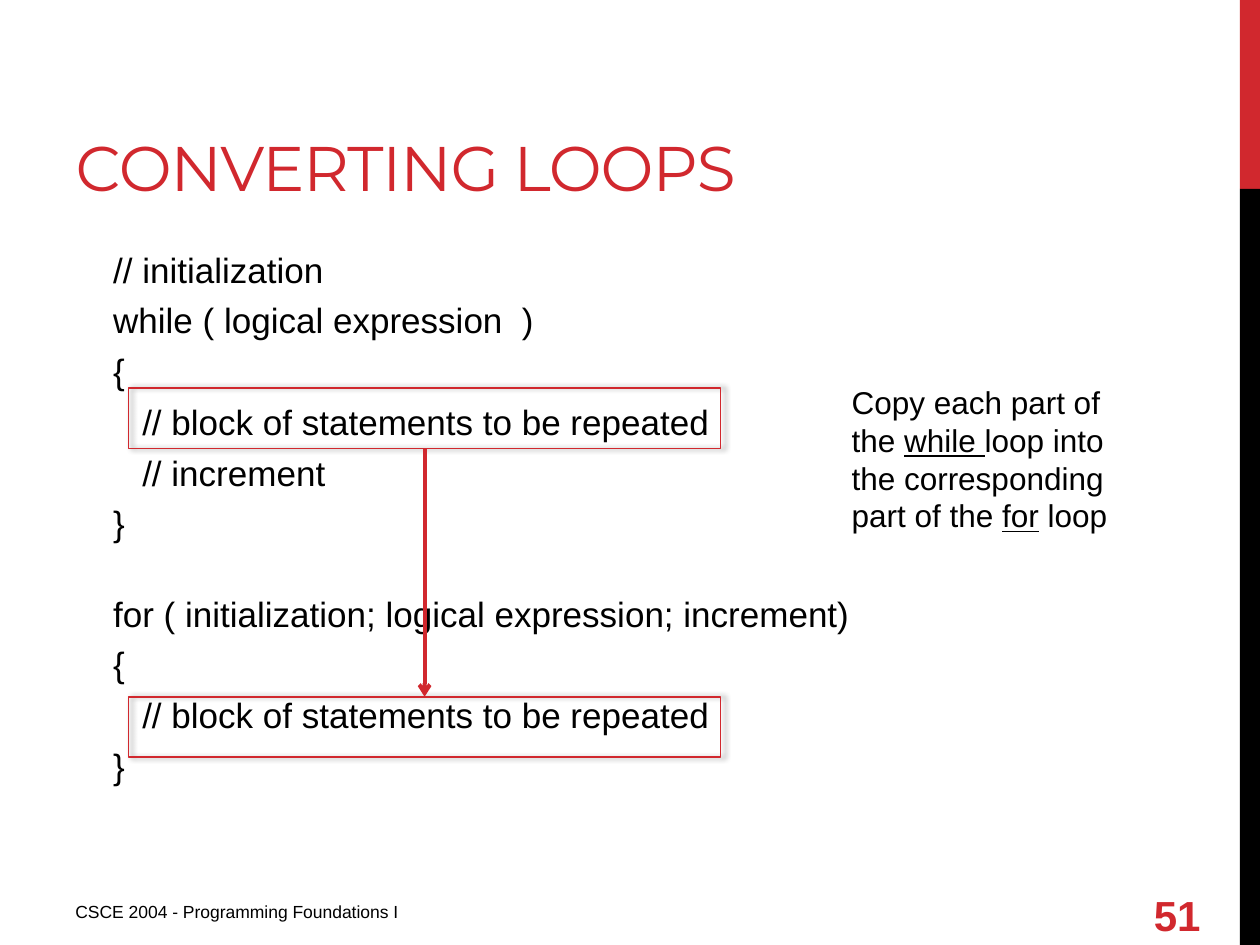
from dataclasses import dataclass

from lxml import etree
from pptx import Presentation
from pptx.dml.color import RGBColor
from pptx.enum.shapes import MSO_CONNECTOR as Connector
from pptx.enum.shapes import MSO_SHAPE as Shape
from pptx.enum.text import MSO_ANCHOR as Anchor
from pptx.enum.text import PP_ALIGN as Align
from pptx.oxml import parse_xml
from pptx.oxml.ns import nsdecls, qn
from pptx.util import Inches, Pt


@dataclass(frozen=True)
class Theme:
    """Colours, fonts and type sizes of the slide."""
    red: RGBColor = RGBColor(0xD1, 0x28, 0x2E)
    black: RGBColor = RGBColor(0, 0, 0)
    heading_font: str = "Montserrat"
    body_font: str = "Arial"
    title_size: int = 36
    code_size: int = 20
    note_size: int = 18
    footer_size: int = 10
    number_size: int = 24
    code_gap: int = 5


THEME = Theme()
LINE_PITCH = 0.39
WHILE_LOOP = [
    "// initialization",
    "while ( logical expression  )",
    "{",
    "   // block of statements to be repeated",
    "   // increment",
    "}",
]
FOR_LOOP = [
    "for ( initialization; logical expression; increment)",
    "{",
    "   // block of statements to be repeated",
    "}",
]
NOTE = [
    ("Copy each part of the ", False),
    ("while ", True),
    ("loop into the corresponding part of the ", False),
    ("for", True),
    (" loop", False),
]


def inch_box(box):
    """Convert a left, top, width, height box to lengths."""
    return [Inches(value) for value in box]


def add_run(paragraph, text, size, color=THEME.black, font=THEME.body_font):
    """Add one formatted run and return it."""
    run = paragraph.add_run()
    run.text = text
    run.font.size = Pt(size)
    run.font.name = font
    run.font.color.rgb = color
    return run


def add_text_frame(slide, box):
    """Add a wrapping text box and return its frame."""
    frame = slide.shapes.add_textbox(*inch_box(box)).text_frame
    frame.word_wrap = True
    return frame


def add_band(slide, box, color):
    """Draw one plain block of the side band."""
    band = slide.shapes.add_shape(Shape.RECTANGLE, *inch_box(box))
    band.shadow.inherit = False
    band.fill.solid()
    band.fill.fore_color.rgb = color
    band.line.fill.background()


def add_side_band(slide, box):
    """Split the side band into a red fifth and a black rest."""
    left, top, width, height = box
    add_band(slide, (left, top, width, height / 5), THEME.red)
    add_band(slide, (left, top + height / 5, width, height * 4 / 5), THEME.black)


def set_title(slide, box, text):
    """Place and format the title placeholder."""
    title = slide.shapes.title
    title.left, title.top, title.width, title.height = inch_box(box)
    frame = title.text_frame
    frame.word_wrap = True
    frame.vertical_anchor = Anchor.BOTTOM
    paragraph = frame.paragraphs[0]
    paragraph.alignment = Align.LEFT
    run = add_run(paragraph, text, THEME.title_size, THEME.red, THEME.heading_font)
    run.font._element.set("spc", "-60")


def add_code(slide, box, lines):
    """Add a code listing with one paragraph per line."""
    frame = add_text_frame(slide, box)
    for index, line in enumerate(lines):
        paragraph = frame.add_paragraph() if index else frame.paragraphs[0]
        if index:
            paragraph.space_before = Pt(THEME.code_gap)
        add_run(paragraph, line, THEME.code_size)


def add_highlight(slide, box):
    """Outline a code line with a red, softly shadowed frame."""
    highlight = slide.shapes.add_shape(Shape.RECTANGLE, *inch_box(box))
    highlight.fill.background()
    highlight.line.color.rgb = THEME.red
    highlight.line.width = Pt(1)
    highlight._element.spPr.append(parse_xml(
        f'<a:effectLst {nsdecls("a")}>'
        f'<a:outerShdw blurRad="{Pt(3.1)}" dist="{Pt(1.8)}" dir="0" rotWithShape="0">'
        '<a:srgbClr val="000000"><a:alpha val="40000"/></a:srgbClr>'
        '</a:outerShdw></a:effectLst>'
    ))
    return highlight


def add_arrow(slide, source, target):
    """Join the bottom of one frame to the top of another."""
    arrow = slide.shapes.add_connector(Connector.STRAIGHT, 0, 0, 0, 0)
    arrow.begin_connect(source, 2)
    arrow.end_connect(target, 0)
    arrow.line.color.rgb = THEME.red
    arrow.line.width = Pt(2.25)
    etree.SubElement(arrow.line._get_or_add_ln(), qn("a:tailEnd"), type="arrow")
    etree.SubElement(arrow._element.spPr, qn("a:effectLst"))


def add_loops(slide, box):
    """Show both loops and link their repeated blocks."""
    left, top, width, height = box
    offset = (len(WHILE_LOOP) + 1) * LINE_PITCH
    add_code(slide, (left, top, width, offset - LINE_PITCH), WHILE_LOOP)
    add_code(slide, (left, top + offset, width, height - offset), FOR_LOOP)
    source, target = [
        add_highlight(slide, (left + 0.22, top + shift, 4.7, 0.48))
        for shift in (1.16, 3.61)
    ]
    add_arrow(slide, source, target)


def add_note(slide, box):
    """Add the explanation with its underlined keywords."""
    paragraph = add_text_frame(slide, box).paragraphs[0]
    for text, underlined in NOTE:
        add_run(paragraph, text, THEME.note_size).font.underline = underlined


def add_footer(slide, box):
    """Add the course name and the slide number."""
    left, top, width, height = box
    course = add_text_frame(slide, (left, top + 0.04, 3.75, 0.31))
    add_run(course.paragraphs[0], "CSCE 2004 - Programming Foundations I",
            THEME.footer_size)
    number = add_text_frame(slide, (left + width - 0.74, top, 0.74, height))
    number.vertical_anchor = Anchor.MIDDLE
    run = add_run(number.paragraphs[0], "51", THEME.number_size, THEME.red)
    run.font.bold = True


def main():
    """Build the slide and save it."""
    presentation = Presentation()
    presentation.slide_width = Inches(10)
    presentation.slide_height = Inches(7.5)
    slide = presentation.slides.add_slide(presentation.slide_layouts[5])
    add_side_band(slide, (9.84, 0, 0.16, 7.5))
    set_title(slide, (0.5, 0.17, 6.33, 1.5), "CONVERTING LOOPS")
    add_loops(slide, (0.8, 1.92, 8.03, 4.78))
    add_note(slide, (6.66, 2.99, 2.41, 1.31))
    add_footer(slide, (0.5, 7.06, 9.3, 0.4))
    presentation.save("out.pptx")


if __name__ == "__main__":
    main()
